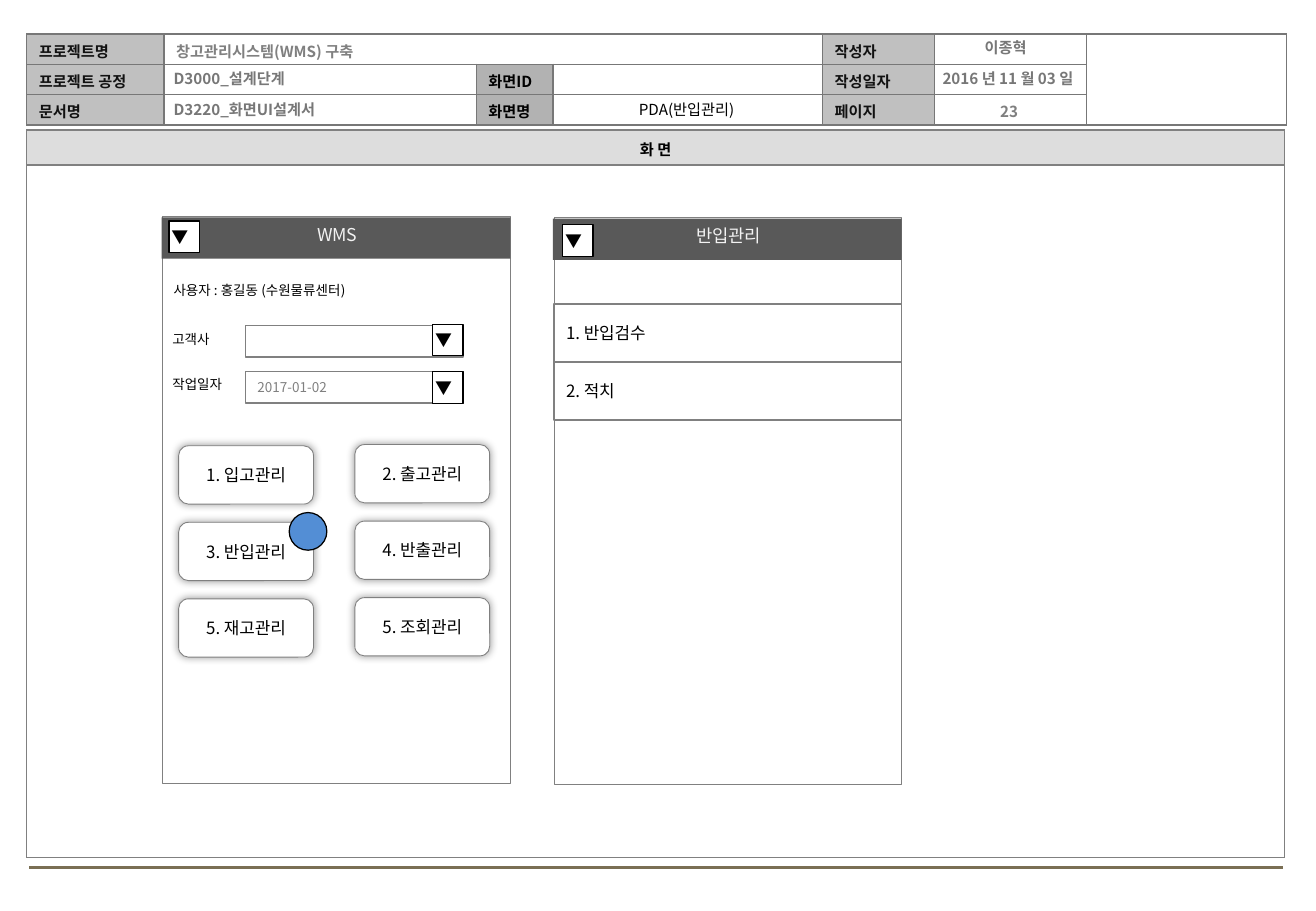
from lxml import etree
from pptx import Presentation
from pptx.dml.color import RGBColor
from pptx.enum.shapes import MSO_CONNECTOR, MSO_SHAPE
from pptx.enum.text import MSO_ANCHOR, PP_ALIGN
from pptx.oxml import parse_xml
from pptx.oxml.ns import qn
from pptx.util import Inches, Pt

FONT = "Noto Sans CJK KR"
NS = 'xmlns:a="http://schemas.openxmlformats.org/drawingml/2006/main"'
RECT, ROUND, OVAL = MSO_SHAPE.RECTANGLE, MSO_SHAPE.ROUNDED_RECTANGLE, MSO_SHAPE.OVAL
PANEL = MSO_SHAPE.FLOWCHART_PROCESS
STRAIGHT = MSO_CONNECTOR.STRAIGHT
LEFT, CENTER = PP_ALIGN.LEFT, PP_ALIGN.CENTER
TOP, MIDDLE = MSO_ANCHOR.TOP, MSO_ANCHOR.MIDDLE
color = RGBColor.from_string

deck = Presentation()
deck.slide_width, deck.slide_height = Inches(10.83), Inches(7.5)
slide = deck.slides.add_slide(deck.slide_layouts[6])
shapes = slide.shapes


def write(frame, text, size, ink="000000", bold=False, align=LEFT):
    para = frame.paragraphs[0]
    para.alignment = align
    run = para.add_run()
    run.text = text
    run.font.size, run.font.bold, run.font.name = Pt(size), bold, FONT
    run.font.color.rgb = color(ink)
    etree.SubElement(run.font._element, qn("a:ea"), typeface=FONT)


def box(kind, x, y, w, h, fill=None, line=None, width=0.5):
    place = [Inches(v) for v in (x, y, w, h)]
    if kind is None:
        shape = shapes.add_textbox(*place)
    else:
        shape = shapes.add_shape(kind, *place)
        shape.shadow.inherit = False
        if fill:
            shape.fill.solid()
            shape.fill.fore_color.rgb = color(fill)
        else:
            shape.fill.background()
        if line:
            shape.line.color.rgb = color(line)
            shape.line.width = Pt(width)
        else:
            shape.line.fill.background()
    shape.text_frame.word_wrap = True
    shape.text_frame.vertical_anchor = MIDDLE if kind else TOP
    return shape


rule = shapes.add_connector(STRAIGHT, Inches(0.24), Inches(7.14), Inches(10.56), Inches(7.14))
rule.line.color.rgb = color("7A6F54")
rule.line.width = Pt(1.75)
etree.SubElement(rule._element.spPr, qn("a:effectLst"))

head = {
    (0, 0): ("프로젝트명", "111111", "C0C0C0", LEFT),
    (1, 0): ("프로젝트 공정", "111111", "C0C0C0", LEFT),
    (2, 0): ("문서명", "111111", "C0C0C0", LEFT),
    (0, 1): ("창고관리시스템(WMS) 구축", "808080", None, LEFT),
    (1, 2): ("화면ID", "000000", "B2B2B2", LEFT),
    (2, 2): ("화면명", "000000", "B2B2B2", LEFT),
    (0, 4): ("작성자", "111111", "C0C0C0", LEFT),
    (1, 4): ("작성일자", "111111", "C0C0C0", LEFT),
    (2, 4): ("페이지", "111111", "C0C0C0", LEFT),
}
body = {(0, 0): ("화 면", "000000", "DDDDDD", CENTER)}
tables = [
    (0.22, 0.28, [1.13, 2.57, 0.63, 2.22, 0.92, 1.25, 1.65], [0.25] * 3, head,
     [(0, 1, 0, 3), (0, 6, 2, 6)], "777777"),
    (0.22, 1.07, [10.35], [0.29, 5.7], body, [], "808080"),
]
for x, y, cols, rows, texts, spans, edge in tables:
    grid = shapes.add_table(len(rows), len(cols), Inches(x), Inches(y),
                            Inches(sum(cols)), Inches(sum(rows))).table
    grid.first_row = grid.horz_banding = False
    for col, wide in zip(grid.columns, cols):
        col.width = Inches(wide)
    for row, high in zip(grid.rows, rows):
        row.height = Inches(high)
    for r1, c1, r2, c2 in spans:
        grid.cell(r1, c1).merge(grid.cell(r2, c2))
    for r in range(len(rows)):
        for c in range(len(cols)):
            cell = grid.cell(r, c)
            cell.vertical_anchor = MIDDLE
            cell.margin_top, cell.margin_bottom = Inches(0.03), Inches(0.01)
            for side in ("lnL", "lnR", "lnT", "lnB"):
                cell._tc.get_or_add_tcPr().append(parse_xml(
                    f'<a:{side} {NS} w="12700"><a:solidFill><a:srgbClr val="{edge}"/>'
                    f'</a:solidFill></a:{side}>'))
            text, ink, fill, align = texts.get((r, c), (None, None, None, None))
            if fill:
                cell.fill.solid()
                cell.fill.fore_color.rgb = color(fill)
            else:
                cell.fill.background()
            if text:
                write(cell.text_frame, text, 9, ink, True, align)
            else:
                para = cell.text_frame.paragraphs[0]
                etree.SubElement(para._p, qn("a:endParaRPr"), sz="900")

for text, x, y, w, ink, bold, align in [
    ("D3000_설계단계", 1.33, 0.52, 5.42, "777777", True, LEFT),
    ("D3220_화면UI설계서", 1.33, 0.78, 5.41, "777777", True, LEFT),
    ("23", 7.68, 0.79, 1.25, "7F7F7F", True, CENTER),
    ("PDA(반입관리)", 4.56, 0.78, 2.18, "000000", False, CENTER),
    ("2016 년 11 월 03 일", 7.51, 0.52, 1.57, "777777", True, CENTER),
    ("이종혁", 7.49, 0.27, 1.57, "777777", True, CENTER),
]:
    write(box(None, x, y, w, 0.25).text_frame, text, 9, ink, bold, align)

for title, x, y in [("WMS", 1.33, 1.78), ("반입관리", 4.55, 1.79)]:
    box(PANEL, x + 0.01, y, 2.86, 4.67, "FFFFFF", "808080")
    box(RECT, x, y + 0.01, 2.87, 0.34, "595959")
    name = box(None, x + 0.02, y + 0.01, 2.85, 0.28)
    write(name.text_frame, title, 10.5, "F2F2F2", align=CENTER)

for text, x, y, w in [
    ("사용자 : 홍길동 (수원물류센터)", 1.33, 2.27, 1.8),
    ("고객사", 1.32, 2.68, 0.54),
    ("작업일자", 1.32, 3.05, 0.65),
]:
    label = box(None, x, y, w, 0.24)
    label.text_frame.word_wrap = False
    write(label.text_frame, text, 8)

box(RECT, 2.02, 2.68, 1.79, 0.26, None, "808080", 1)
date = box(RECT, 2.02, 3.06, 1.79, 0.26, None, "808080", 1)
write(date.text_frame, "2017-01-02", 8, "808080")

for i, text in enumerate(["1. 입고관리", "2. 출고관리", "3. 반입관리",
                          "4. 반출관리", "5. 재고관리", "5. 조회관리"]):
    row, col = divmod(i, 2)
    key = box(ROUND, 1.47 + 1.45 * col, 3.67 + 0.63 * row - 0.01 * col,
              1.11, 0.48, "FFFFFF", "808080")
    write(key.text_frame, text, 10, align=CENTER)
    glow = key._element.spPr.find(qn("a:effectLst"))
    glow.append(parse_xml(
        f'<a:outerShdw {NS} blurRad="63500" dist="0" dir="0" algn="ctr" rotWithShape="0">'
        '<a:srgbClr val="000000"><a:alpha val="40000"/></a:srgbClr></a:outerShdw>'))

box(OVAL, 2.38, 4.22, 0.31, 0.31, "538ED5", "000000", 0.75)

for i, text in enumerate(["1. 반입검수", "2. 적치"]):
    item = box(RECT, 4.56, 2.5 + 0.48 * i, 2.86, 0.48, None, "808080", 1)
    write(item.text_frame, text, 10)

for x, y in [(3.56, 3.06), (3.56, 2.67), (1.39, 1.82), (4.63, 1.85)]:
    drop = box(RECT, x, y, 0.25, 0.26, "FFFFFF", "000000", 0.75)
    frame = drop.text_frame
    frame.word_wrap = False
    frame.margin_left = frame.margin_right = Inches(0.02)
    frame.margin_top = frame.margin_bottom = Inches(0.04)
    write(frame, "▼", 10)

deck.save("out.pptx")
